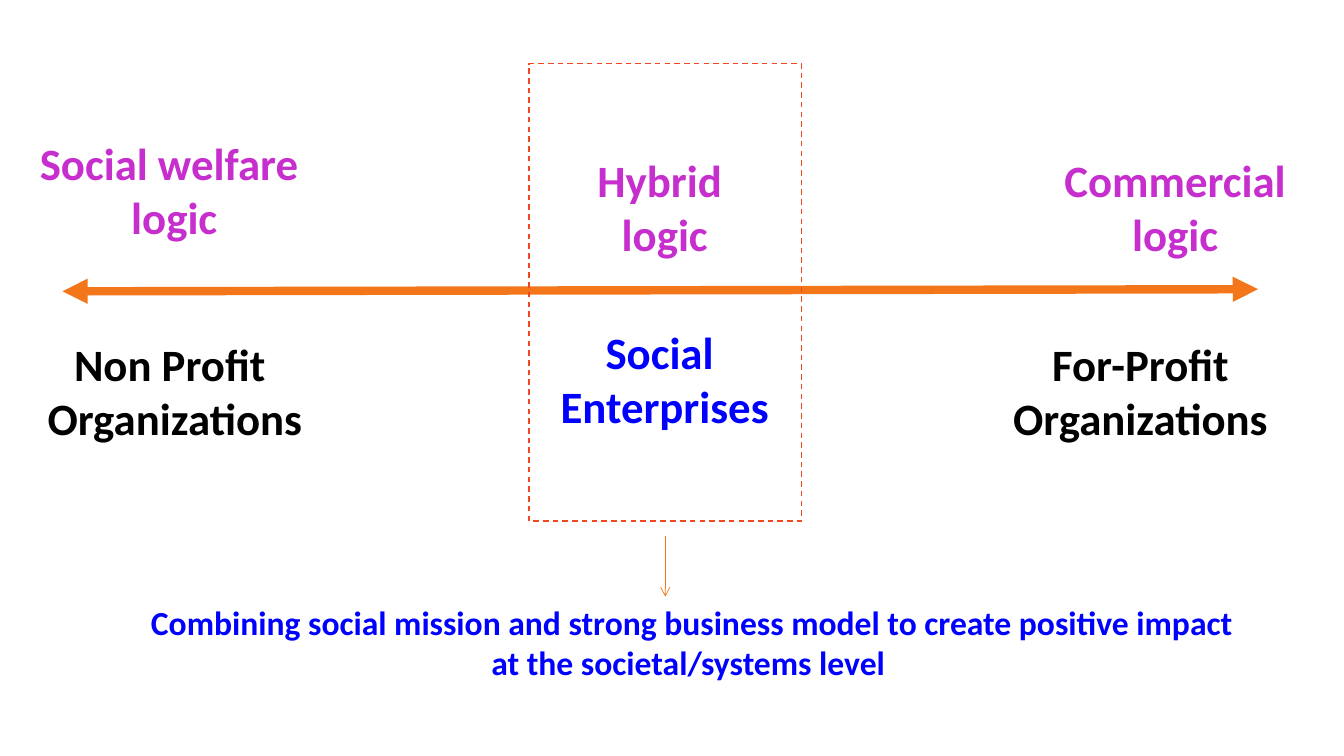
from pptx import Presentation
from pptx.dml.color import RGBColor
from pptx.enum.dml import MSO_LINE
from pptx.enum.shapes import MSO_CONNECTOR, MSO_SHAPE
from pptx.enum.text import MSO_AUTO_SIZE, PP_ALIGN
from pptx.oxml.ns import qn
from pptx.util import Pt
from lxml.etree import SubElement

COLORS = {
    "axis": "F3771A",
    "frame": "F1471F",
    "logic": "C62ECD",
    "organization": "000000",
    "hybrid": "0000FF",
}

LABELS = [
    ("Non Profit \nOrganizations", "organization", 32, (20.9, 236.9, 208.1, 85)),
    ("For-Profit\nOrganizations", "organization", 32, (710.6, 236.9, 208.1, 85)),
    ("Social \nEnterprises", "hybrid", 32, (388.8, 228.2, 172.1, 85)),
    ("Social welfare \nlogic", "logic", 32, (15.8, 93.6, 217.4, 85)),
    ("Commercial\nlogic", "logic", 32, (749.5, 105.8, 180, 85)),
    ("Hybrid \nlogic", "logic", 32, (417.6, 105.8, 114.5, 85)),
    (
        "Combining social mission and strong business model to create positive impact\n"
        "at the societal/systems level ",
        "hybrid", 24, (82.8, 426.2, 823, 65.5),
    ),
]

FRAME = (378, 45.4, 194.4, 326.9)
AXIS = (44.6, 208.1, 898.6, 206.6)
FRAME_CENTER = FRAME[0] + FRAME[2] / 2
DOWN_ARROW = (FRAME_CENTER, 383, FRAME_CENTER, 426.2)


def rgb(name):
    return RGBColor.from_string(COLORS[name])


def add_label(page, text, color, size, bounds):
    box = page.shapes.add_textbox(*map(Pt, bounds))
    frame = box.text_frame
    frame.word_wrap = False
    frame.auto_size = MSO_AUTO_SIZE.SHAPE_TO_FIT_TEXT
    frame.text = text
    for para in frame.paragraphs:
        para.alignment = PP_ALIGN.CENTER
        for span in para.runs:
            span.font.name = "Calibri"
            span.font.size = Pt(size)
            span.font.bold = True
            span.font.color.rgb = rgb(color)


def add_arrow(page, ends, width, heads):
    arrow = page.shapes.add_connector(MSO_CONNECTOR.STRAIGHT, *map(Pt, ends))
    arrow.line.color.rgb = rgb("axis")
    arrow.line.width = Pt(width)
    outline = arrow.line._get_or_add_ln()
    for end, kind in heads:
        SubElement(outline, qn(f"a:{end}"), type=kind)
    SubElement(arrow._element.spPr, qn("a:effectLst"))


def add_frame(page):
    frame = page.shapes.add_shape(MSO_SHAPE.RECTANGLE, *map(Pt, FRAME))
    frame.shadow.inherit = False
    frame.fill.background()
    frame.line.color.rgb = rgb("frame")
    frame.line.width = Pt(1)
    frame.line.dash_style = MSO_LINE.DASH


def main():
    deck = Presentation()
    deck.slide_width, deck.slide_height = Pt(960), Pt(540)
    page = deck.slides.add_slide(deck.slide_layouts[6])
    add_arrow(page, AXIS, 6, [("headEnd", "triangle"), ("tailEnd", "triangle")])
    for label in LABELS:
        add_label(page, *label)
    add_frame(page)
    add_arrow(page, DOWN_ARROW, 0.5, [("tailEnd", "arrow")])
    deck.save("out.pptx")


if __name__ == "__main__":
    main()
